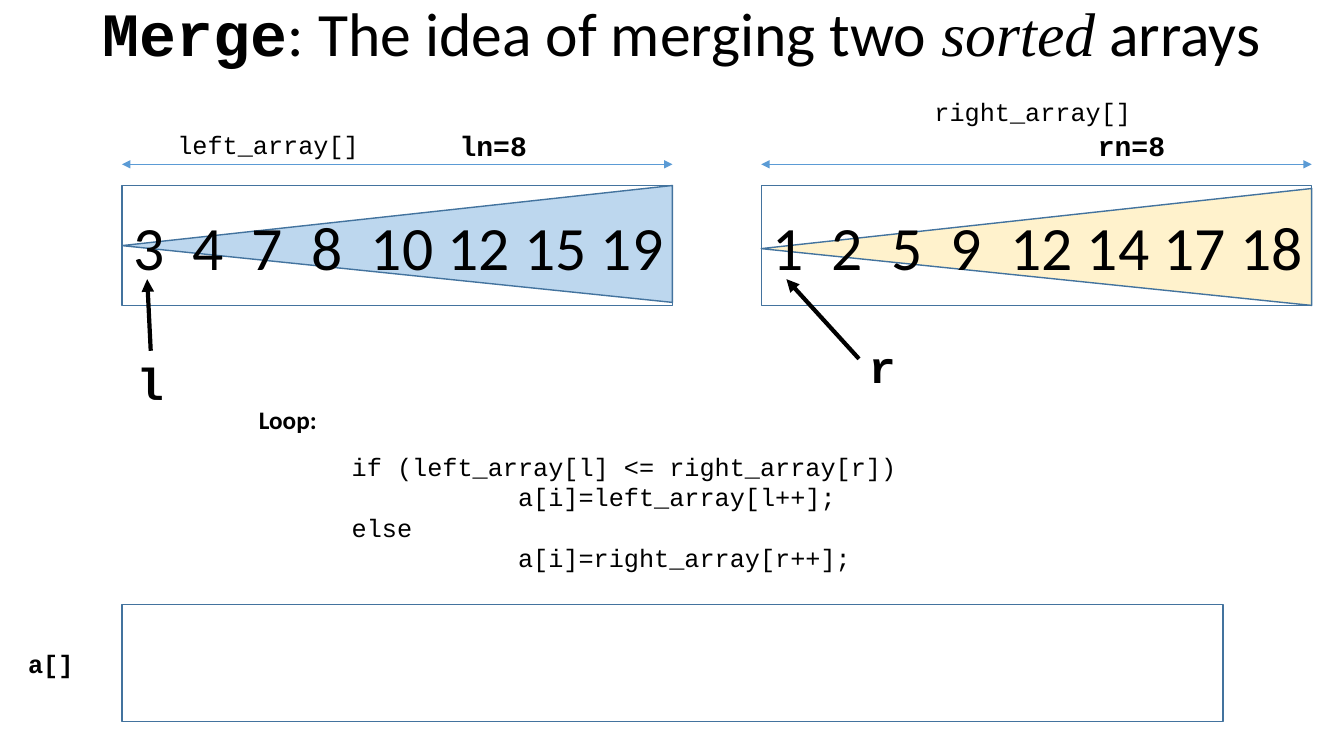
from pptx import Presentation, util as u
from pptx.dml.color import RGBColor
from pptx.enum import shapes, text
from pptx.oxml.ns import qn
from lxml import etree

BLACK = RGBColor(0x00, 0x00, 0x00)
OUTLINE = RGBColor(0x43, 0x73, 0x9E)
MEASURE = RGBColor(0x5B, 0x9B, 0xD5)
LEFT_FILL = RGBColor(0xBD, 0xD7, 0xEE)
RIGHT_FILL = RGBColor(0xFF, 0xF2, 0xCC)
BODY, CODE, SERIF = "Calibri", "Courier New", "Times New Roman"
COLUMNS, ROWS = 13.33, 7.5
CHAR = 0.15  # width of one 18 pt code character


class Board:
    """Style and current slide; lengths are grid columns and rows."""

    def __init__(self, deck):
        deck.slide_width, deck.slide_height = u.Inches(COLUMNS), u.Inches(ROWS)
        self.column = deck.slide_width / COLUMNS
        self.row = deck.slide_height / ROWS
        self.page = deck.slides.add_slide(deck.slide_layouts[5])

    def place(self, left, top, width, height):
        return (round(left * self.column), round(top * self.row),
                round(width * self.column), round(height * self.row))

    def apply(self, target, values):
        for name, value in values.items():
            setattr(target, name, value)

    def add_span(self, para, words, size, name=BODY, **style):
        span = para.add_run()
        span.text = words
        self.apply(span.font, {"size": u.Pt(size), "name": name, **style})
        span.font.color.rgb = BLACK

    def title(self, spot, size, spans):
        box = self.page.shapes.title
        self.apply(box, dict(zip(("left", "top", "width", "height"), self.place(*spot))))
        self.apply(box.text_frame, {"vertical_anchor": text.MSO_ANCHOR.MIDDLE,
                                    "word_wrap": True,
                                    "auto_size": text.MSO_AUTO_SIZE.NONE})
        para = box.text_frame.paragraphs[0]
        self.apply(para, {"alignment": text.PP_ALIGN.LEFT, "line_spacing": 0.9})
        for words, style in spans:
            self.add_span(para, words, size, **style)

    def label(self, spot, lines, size, name=CODE, wrap=False, **style):
        """Each line is a pair of its words and its indent in characters."""
        box = self.page.shapes.add_textbox(*self.place(*spot))
        frame = box.text_frame
        self.apply(frame, {"word_wrap": wrap,
                           "auto_size": text.MSO_AUTO_SIZE.SHAPE_TO_FIT_TEXT})
        for index, (words, indent) in enumerate(lines):
            para = frame.add_paragraph() if index else frame.paragraphs[0]
            if indent:
                para._p.get_or_add_pPr().set("marL", str(round(indent * CHAR * self.column)))
            self.add_span(para, words, size, name, **style)
        return box

    def shape(self, kind, spot, fill=None):
        box = self.page.shapes.add_shape(kind, *self.place(*spot))
        box.shadow.inherit = False
        if fill is None:
            box.fill.background()
        else:
            box.fill.solid()
            box.fill.fore_color.rgb = fill
        box.line.color.rgb = OUTLINE
        box.line.width = u.Pt(1)
        return box

    def wedge(self, left, top, width, height, fill):
        """Triangle turned so that its tip points left."""
        spot = (left + (width - height) / 2, top + (height - width) / 2, height, width)
        box = self.shape(shapes.MSO_SHAPE.ISOSCELES_TRIANGLE, spot, fill)
        box.rotation = 270
        box.adjustments[0] = 0.486

    def array(self, spot, numbers, size):
        """Numbers on tab stops, spaced by their count of digits."""
        box = self.shape(shapes.MSO_SHAPE.RECTANGLE, spot)
        frame = box.text_frame
        self.apply(frame, {"margin_left": u.Inches(0.11), "margin_right": 0,
                           "word_wrap": True,
                           "vertical_anchor": text.MSO_ANCHOR.MIDDLE})
        para = frame.paragraphs[0]
        para.alignment = text.PP_ALIGN.LEFT
        stops = etree.SubElement(para._p.get_or_add_pPr(), qn("a:tabLst"))
        stop = 0
        for number in numbers[:-1]:
            stop += 0.59 if number < 10 else 0.76
            etree.SubElement(stops, qn("a:tab"), pos=str(round(stop * self.column)), algn="l")
        self.add_span(para, "\t".join(map(str, numbers)), size)

    def arrow(self, start, end, color, width, heads=("tailEnd",)):
        line = self.page.shapes.add_connector(
            shapes.MSO_CONNECTOR.STRAIGHT, *self.place(*start, *end))
        line.line.color.rgb = color
        line.line.width = u.Pt(width)
        outline = line._element.spPr.find(qn("a:ln"))
        for head in heads:
            etree.SubElement(outline, qn("a:" + head), type="triangle")
        etree.SubElement(line._element.spPr, qn("a:effectLst"))
        return line


def main():
    deck = Presentation()
    board = Board(deck)
    array_top, array_width, array_height = 1.84, 5.46, 1.19
    left_edge, right_edge = 1.21, 7.55

    # Title
    board.title((0.92, -0.36, 12.09, 1.45), 44, [
        ("Merge", {"name": CODE, "bold": True}),
        (": The idea of merging two ", {}),
        ("sorted", {"name": SERIF, "italic": True}),
        (" arrays", {})])

    # Sorted arrays with their lengths
    for edge, drop, fill, numbers, length, length_left in (
            (left_edge, 0, LEFT_FILL, (3, 4, 7, 8, 10, 12, 15, 19), "ln=8", 4.46),
            (right_edge, 0.03, RIGHT_FILL, (1, 2, 5, 9, 12, 14, 17, 18), "rn=8", 10.79)):
        board.wedge(edge, array_top + drop, array_width, 1.16, fill)
        board.array((edge, array_top, array_width, array_height), numbers, 44)
        board.arrow((edge, 1.63), (edge + array_width, 1.63), MEASURE, 0.5,
                    ("headEnd", "tailEnd"))
        board.label((length_left, 1.23, 0.88, 0.44), [(length, 0)], 20, bold=True)
    board.label((1.66, 1.23, 2.01, 0.4), [("left_array[]", 0)], 18)
    board.label((9.17, 0.91, 2.16, 0.4), [("right_array[]", 0)], 18)

    # Index pointers
    left_index = board.label((1.26, 3.48, 0.47, 0.64), [("l", 0)], 32, bold=True)
    board.label((8.52, 3.31, 0.47, 0.64), [("r", 0)], 32, bold=True)
    board.arrow((1.49, 3.48), (1.46, 2.77), BLACK, 3).begin_connect(left_index, 0)
    board.arrow((8.52, 3.56), (7.8, 2.77), BLACK, 3)

    # Merge loop
    board.label((2.47, 3.96, 0.78, 0.4), [("Loop:", 0)], 18, BODY, bold=True)
    board.label((3.24, 4.43, 5.93, 1.31), [
        ("if (left_array[l] <= right_array[r])", 1),
        ("a[i]=left_array[l++];", 12),
        ("else", 1),
        ("a[i]=right_array[r++];", 12)], 18, wrap=True)

    # Merged array
    board.shape(shapes.MSO_SHAPE.RECTANGLE, (left_edge, 6, 2 * array_width, 1.16))
    board.label((0.18, 6.38, 0.65, 0.4), [("a[]", 0)], 18, bold=True)

    deck.save("out.pptx")


if __name__ == "__main__":
    main()
